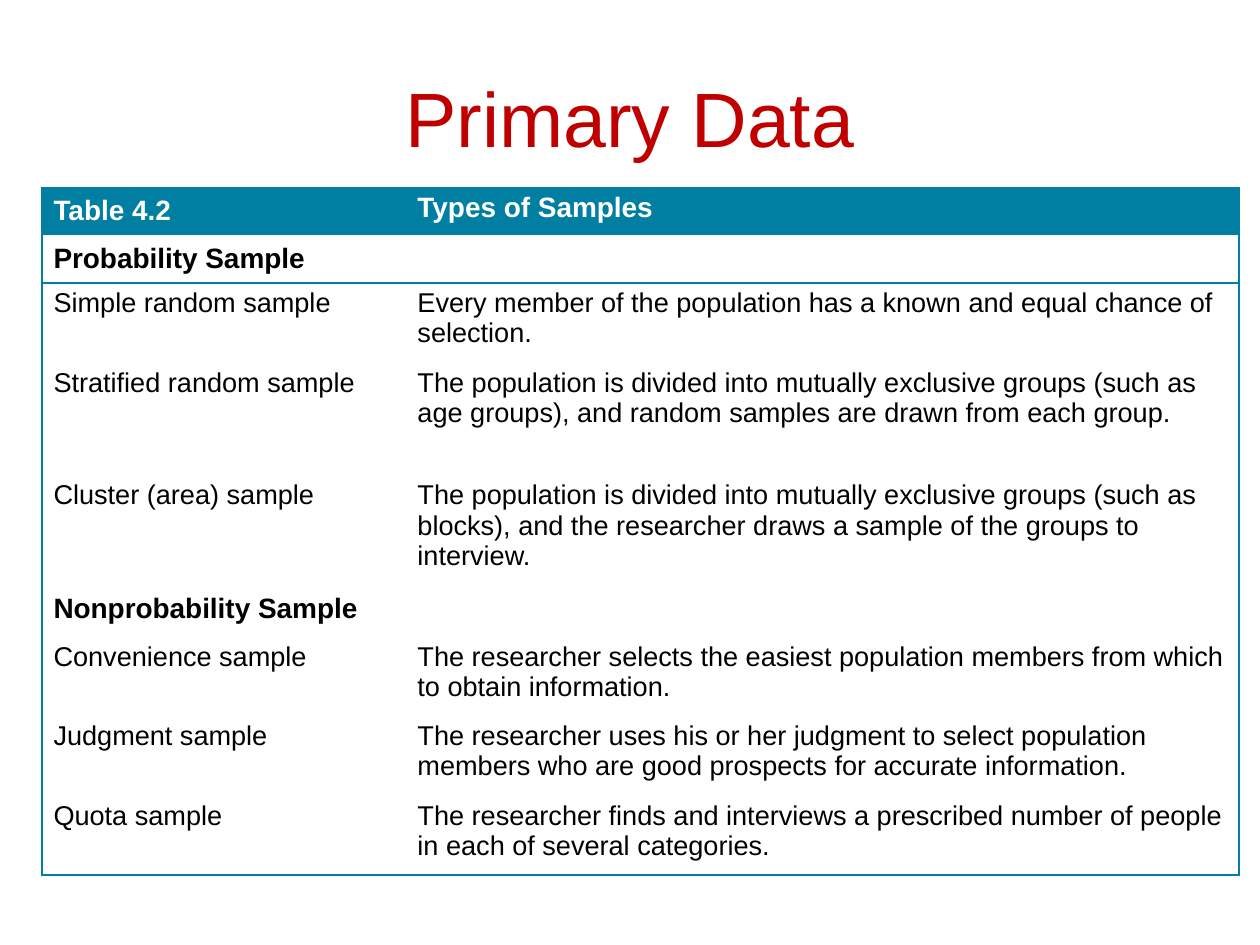
"""Build a slide with a table of the types of samples."""
import pptx
import pptx.dml.color
import pptx.enum.text
import pptx.oxml.ns
import pptx.util
import lxml.etree

Pt = pptx.util.Pt
RGBColor = pptx.dml.color.RGBColor
Anchor = pptx.enum.text.MSO_ANCHOR
qn = pptx.oxml.ns.qn

RED = RGBColor(0xC0, 0x00, 0x00)
TEAL = RGBColor(0x00, 0x7F, 0xA3)
WHITE = RGBColor(0xFF, 0xFF, 0xFF)
BLACK = RGBColor(0x00, 0x00, 0x00)

FONT = "Arial"
COL_WIDTHS = (208, 476)
SHORT, MEDIUM, TALL = 27, 45.5, 64.5
RULES = (0, 1, 2, 9)
ROWS = (
    (SHORT, "Table 4.2", "Types of Samples"),
    (SHORT, "Probability Sample", ""),
    (MEDIUM, "Simple random sample",
     "Every member of the population has a known and equal chance of selection."),
    (TALL, "Stratified random sample",
     "The population is divided into mutually exclusive groups (such as age groups), "
     "and random samples are drawn from each group."),
    (TALL, "Cluster (area) sample",
     "The population is divided into mutually exclusive groups (such as blocks), "
     "and the researcher draws a sample of the groups to interview."),
    (SHORT, "Nonprobability Sample", ""),
    (MEDIUM, "Convenience sample",
     "The researcher selects the easiest population members from which to obtain information."),
    (MEDIUM, "Judgment sample",
     "The researcher uses his or her judgment to select population members "
     "who are good prospects for accurate information."),
    (MEDIUM, "Quota sample",
     "The researcher finds and interviews a prescribed number of people "
     "in each of several categories."),
)


def add_run(p, text, size, color, bold=False):
    """Add one formatted run to a paragraph."""
    r = p.add_run()
    r.text = text
    r.font.name = FONT
    r.font.size = Pt(size)
    r.font.bold = bold
    r.font.color.rgb = color


def add_title(s, text):
    """Add the centred slide title."""
    sp = s.shapes.add_textbox(Pt(36), Pt(21.6), Pt(648), Pt(90))
    tf = sp.text_frame
    tf.word_wrap = True
    tf.vertical_anchor = Anchor.MIDDLE
    p = tf.paragraphs[0]
    p.alignment = pptx.enum.text.PP_ALIGN.CENTER
    add_run(p, text, 44, RED)


def set_borders(cell, sides):
    """Draw the given sides of a cell and clear the others."""
    tc_pr = cell._tc.get_or_add_tcPr()
    for i, side in enumerate("LRTB"):
        ln = lxml.etree.Element(qn("a:ln" + side), w=str(Pt(1)))
        if side in sides:
            fill = lxml.etree.SubElement(ln, qn("a:solidFill"))
            lxml.etree.SubElement(fill, qn("a:srgbClr"), val=str(TEAL))
        else:
            lxml.etree.SubElement(ln, qn("a:noFill"))
        tc_pr.insert(i, ln)


def fill_cell(cell, text, row, col, heading):
    """Set the text, fill, margins and borders of a cell."""
    header = row == 0
    cell.fill.solid()
    cell.fill.fore_color.rgb = TEAL if header else WHITE
    cell.margin_left = cell.margin_right = Pt(6.6)
    cell.margin_top = cell.margin_bottom = Pt(3)
    cell.vertical_anchor = Anchor.MIDDLE if row < 2 and col == 0 else Anchor.TOP
    if text:
        add_run(cell.text_frame.paragraphs[0], text, 16 if heading else 15.5,
                WHITE if header else BLACK, heading)
    sides = "LR"[col]
    sides += "T" if row in RULES else ""
    sides += "B" if row + 1 in RULES else ""
    set_borders(cell, sides)


def add_samples_table(s):
    """Add the table of sample types."""
    height = sum(row[0] for row in ROWS)
    table = s.shapes.add_table(len(ROWS), len(COL_WIDTHS), Pt(24), Pt(107),
                               Pt(sum(COL_WIDTHS)), Pt(height)).table
    for column, width in zip(table.columns, COL_WIDTHS):
        column.width = Pt(width)
    for i, (row_height, *texts) in enumerate(ROWS):
        table.rows[i].height = Pt(row_height)
        for j, text in enumerate(texts):
            fill_cell(table.cell(i, j), text, i, j, row_height == SHORT)


def main():
    """Build and save the slide."""
    prs = pptx.Presentation()
    prs.slide_width, prs.slide_height = Pt(720), Pt(540)
    s = prs.slides.add_slide(prs.slide_layouts[6])
    add_title(s, "Primary Data")
    add_samples_table(s)
    prs.save("out.pptx")


if __name__ == "__main__":
    main()
